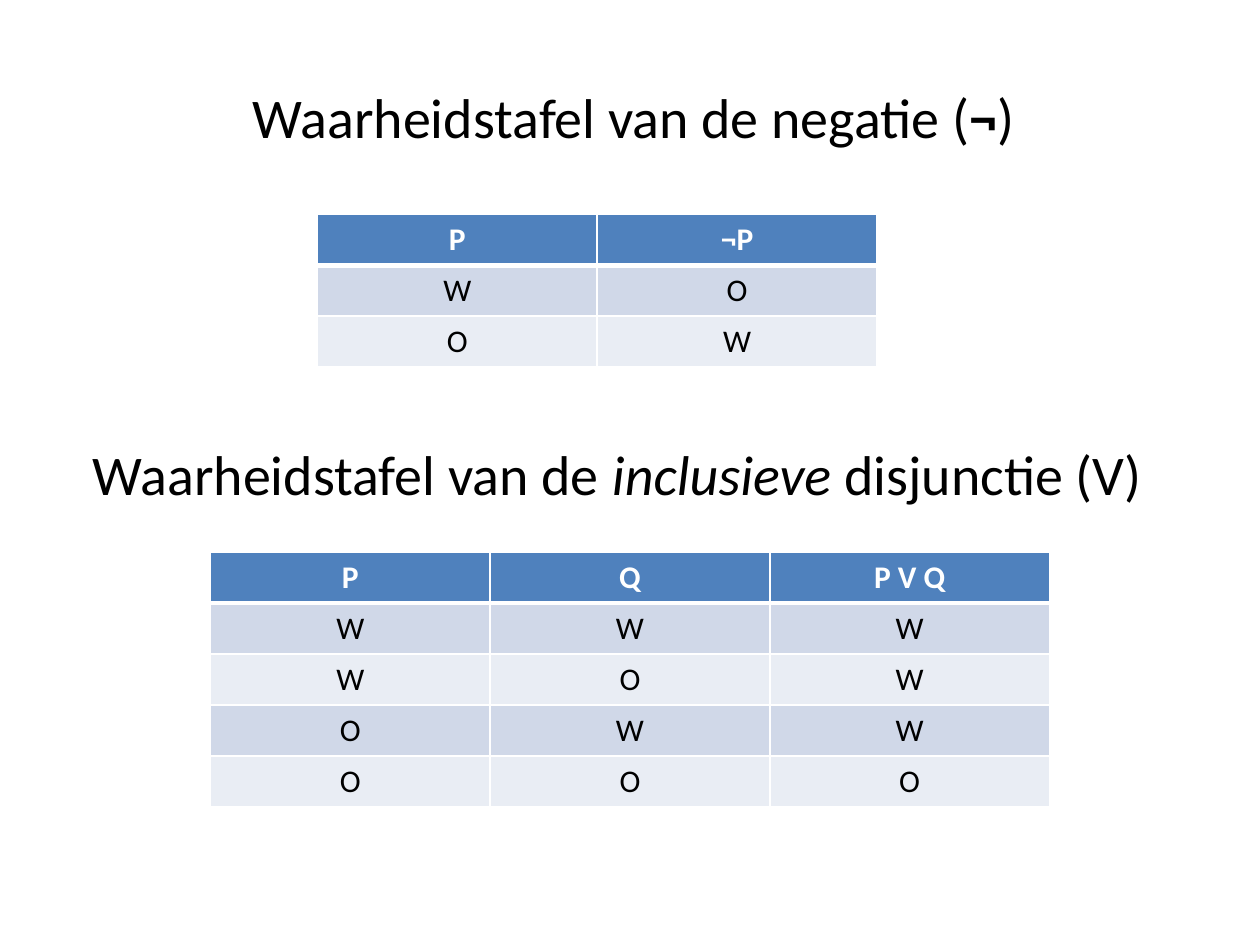
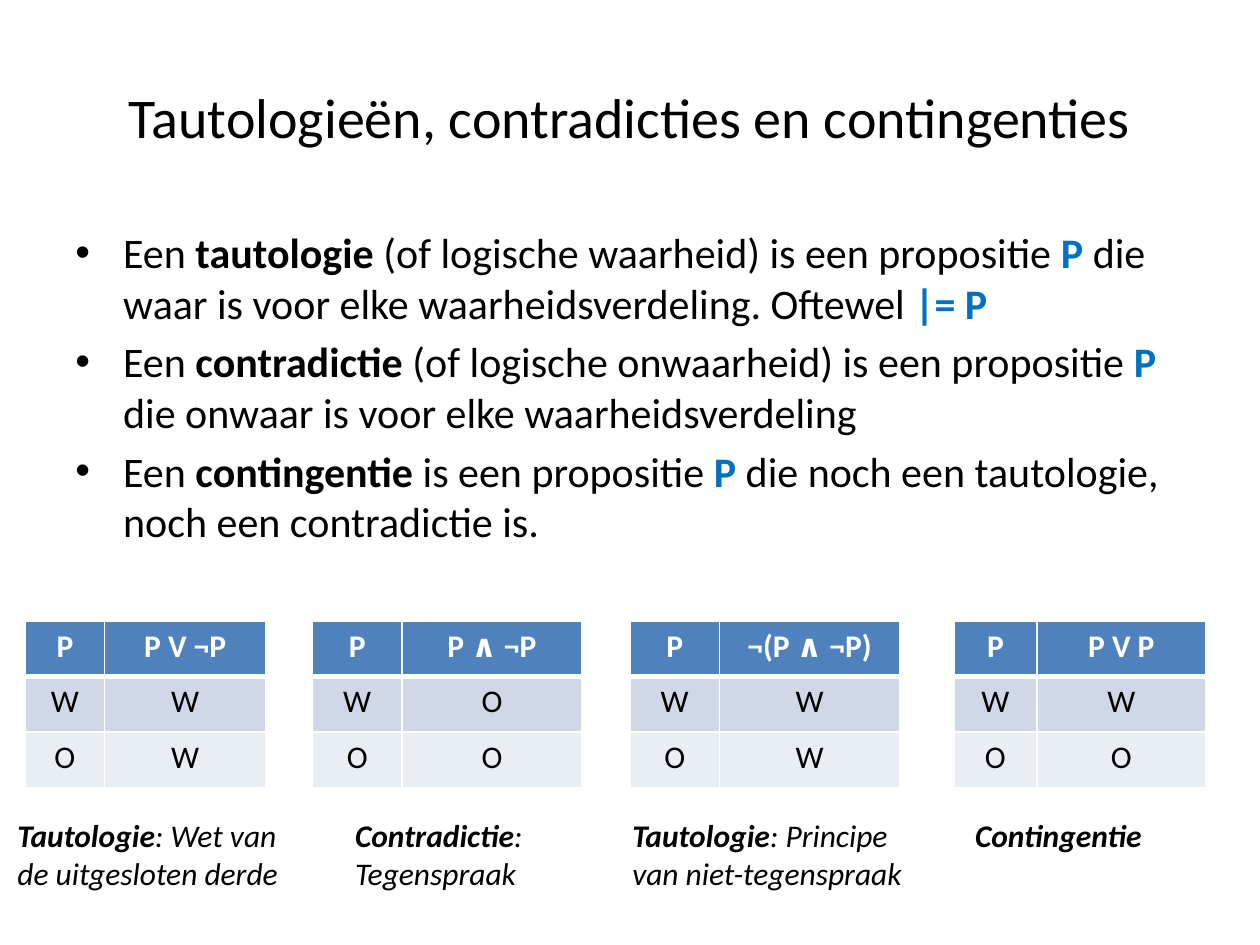
from lxml import etree
from pptx import Presentation
from pptx import util as u
from pptx.dml.color import RGBColor
from pptx.enum import text
from pptx.oxml import ns

FONT = "Calibri"
BLACK, WHITE, BLUE = "000000", "FFFFFF", "0070C0"
HEADER, BAND_DARK, BAND_LIGHT = "4F81BD", "D0D8E8", "E9EDF4"
TITLE_SIZE, BODY_SIZE, SMALL_SIZE = 32, 24, 18
CENTER = text.PP_ALIGN.CENTER
MIDDLE = text.MSO_ANCHOR.MIDDLE


def color(value):
    return RGBColor.from_string(value)


def add_spans(para, spans, size, ink=BLACK):
    for words, style in spans:
        span = para.add_run()
        span.text = words
        span.font.name = FONT
        span.font.size = u.Pt(size)
        span.font.bold = "b" in style
        span.font.italic = "i" in style
        span.font.color.rgb = color(BLUE if "p" in style else ink)


def add_text(page, box, spans, size):
    frame = page.shapes.add_textbox(*map(u.Inches, box)).text_frame
    frame.word_wrap = True
    add_spans(frame.paragraphs[0], spans, size)
    return frame


def add_title(page, box, spans):
    frame = add_text(page, box, spans, TITLE_SIZE)
    frame.vertical_anchor = MIDDLE
    frame.paragraphs[0].alignment = CENTER


def add_bullets(page, box, items):
    frame = page.shapes.add_textbox(*map(u.Inches, box)).text_frame
    frame.word_wrap = True
    for index, spans in enumerate(items):
        para = frame.add_paragraph() if index else frame.paragraphs[0]
        props = para._p.get_or_add_pPr()
        props.set("marL", str(u.Inches(0.38)))
        props.set("indent", str(u.Inches(-0.38)))
        etree.SubElement(props, ns.qn("a:buFont"), typeface="Arial")
        etree.SubElement(props, ns.qn("a:buChar"), char="•")
        if index:
            para.space_before = u.Pt(4.8)
        add_spans(para, spans, BODY_SIZE)


def set_borders(cell, row_index):
    widths = {"lnL": 1, "lnR": 1, "lnT": 3 if row_index == 1 else 1,
              "lnB": 3 if row_index == 0 else 1}
    props = cell._tc.get_or_add_tcPr()
    for position, (side, width) in enumerate(widths.items()):
        line = etree.Element(ns.qn(f"a:{side}"), w=str(u.Pt(width)))
        fill = etree.SubElement(line, ns.qn("a:solidFill"))
        etree.SubElement(fill, ns.qn("a:srgbClr"), val=WHITE)
        props.insert(position, line)


def add_truth_table(page, left, top, widths, row_height, rows):
    height = row_height * len(rows)
    table = page.shapes.add_table(
        len(rows), len(widths),
        *map(u.Inches, (left, top, sum(widths), height))).table
    for column, width in zip(table.columns, widths):
        column.width = u.Inches(width)
    for row_index, values in enumerate(rows):
        table.rows[row_index].height = u.Inches(row_height)
        is_header = row_index == 0
        band = HEADER if is_header else BAND_DARK if row_index % 2 else BAND_LIGHT
        for column_index, value in enumerate(values):
            cell = table.cell(row_index, column_index)
            cell.fill.solid()
            cell.fill.fore_color.rgb = color(band)
            set_borders(cell, row_index)
            para = cell.text_frame.paragraphs[0]
            para.alignment = CENTER
            add_spans(para, [(value, "b" if is_header else "")], SMALL_SIZE,
                      WHITE if is_header else BLACK)


def add_example(page, left, width, formula, outcomes, caption_left, caption):
    first = round(width * 0.33, 2)
    rows = [("P", formula), *zip("WO", outcomes)]
    add_truth_table(page, left, 4.93, (first, width - first), 0.44, rows)
    add_text(page, (caption_left, 6.43, 2.36, 0.71), caption, SMALL_SIZE)


def build_truth_tables(page):
    column, row_height = 2.22, 0.405
    add_title(page, (0.28, 0.3, 9.5, 1.25), [
        ("Waarheidstafel van de negatie (", ""), ("¬", "b"), (")", "")])
    add_truth_table(page, 2.52, 1.7, [column] * 2, row_height,
                    [("P", "¬P"), "WO", "OW"])
    add_title(page, (0.15, 3.13, 9.5, 1.25), [
        ("Waarheidstafel van de ", ""), ("inclusieve ", "i"),
        ("disjunctie (V)", "")])
    add_truth_table(page, 1.67, 4.38, [column] * 3, row_height,
                    [("P", "Q", "P V Q"), "WWW", "WOW", "OWW", "OOO"])


def build_definitions(page):
    add_title(page, (0.5, 0.3, 9, 1.25),
              [("Tautologieën, contradicties en contingenties", "")])
    add_bullets(page, (0.5, 1.75, 9, 4.95), [
        [("Een ", ""), ("tautologie", "b"),
         (" (of logische waarheid) is een propositie ", ""), ("P", "bp"),
         (" die waar is voor elke waarheidsverdeling. Oftewel ", ""),
         ("|= P", "bp")],
        [("Een ", ""), ("contradictie", "b"),
         (" (of logische onwaarheid) is een propositie ", ""), ("P", "bp"),
         (" die onwaar is voor elke waarheidsverdeling", "")],
        [("Een ", ""), ("contingentie", "b"),
         (" is een propositie ", ""), ("P", "bp"),
         (" die noch een tautologie, noch een contradictie is.", "")],
    ])
    examples = [
        (0.2, 1.91, "P V ¬P", "WW", 0.04,
         [("Tautologie", "bi"), (": Wet van de uitgesloten derde", "i")]),
        (2.48, 2.14, "P ∧ ¬P", "OO", 2.72,
         [("Contradictie", "bi"), (": Tegenspraak", "i")]),
        (5, 2.14, "¬(P ∧ ¬P)", "WW", 4.92,
         [("Tautologie", "bi"), (": Principe van niet-tegenspraak", "i")]),
        (7.57, 2, "P V P", "WO", 7.64, [("Contingentie", "bi")]),
    ]
    for example in examples:
        add_example(page, *example)


def main():
    deck = Presentation()
    deck.slide_width, deck.slide_height = u.Inches(10), u.Inches(7.5)
    for build in (build_truth_tables, build_definitions):
        build(deck.slides.add_slide(deck.slide_layouts[6]))
    deck.save("out.pptx")


if __name__ == "__main__":
    main()
